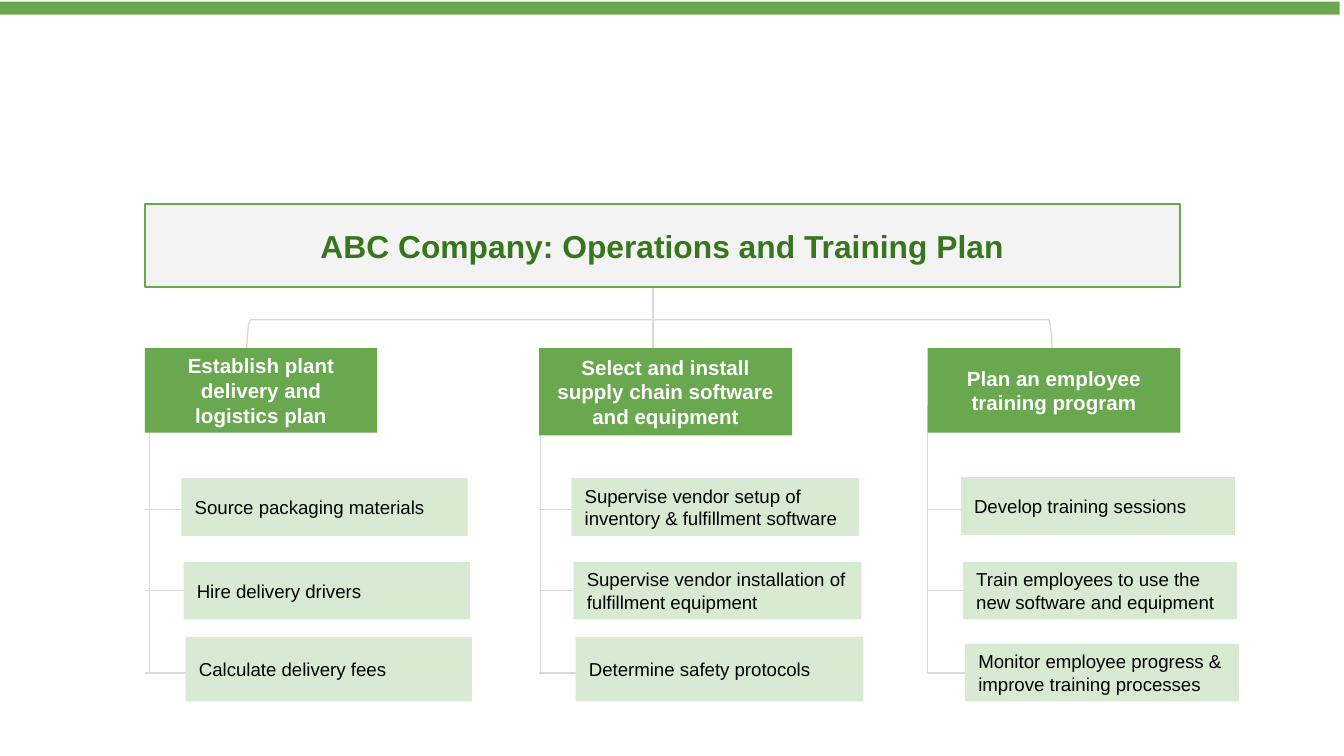
from pptx import Presentation
from pptx.dml.color import RGBColor
from pptx.enum.shapes import MSO_CONNECTOR as Link, MSO_SHAPE as Preset
from pptx.enum.text import MSO_ANCHOR as Anchor, PP_ALIGN as Align
from pptx.oxml.ns import qn
from pptx.util import Cm, Pt
from lxml.etree import SubElement

COLORS = {
    "green": "6AA84F", "dark_green": "38761D", "pale_green": "D9EAD3",
    "pale_gray": "F3F3F3", "line_gray": "D9D9D9",
    "white": "FFFFFF", "black": "000000",
}

deck = Presentation()
deck.slide_width, deck.slide_height = Cm(25.4), Cm(14.29)
slide = deck.slides.add_slide(deck.slide_layouts[6])


def add_box(text, left, top, width, height, fill=None, line=None, size=10,
            color="black", bold=False, align=Align.LEFT, preset=Preset.RECTANGLE):
    box = slide.shapes.add_shape(preset, Cm(left), Cm(top), Cm(width), Cm(height))
    box.shadow.inherit = False
    if fill:
        box.fill.solid()
        box.fill.fore_color.rgb = RGBColor.from_string(COLORS[fill])
    else:
        box.fill.background()
    if line:
        box.line.color.rgb = RGBColor.from_string(COLORS[line])
        box.line.width = Pt(0.75)
    else:
        box.line.fill.background()
    if text:
        frame = box.text_frame
        frame.word_wrap = True
        frame.vertical_anchor = Anchor.MIDDLE
        frame.margin_left = frame.margin_right = Cm(0.25)
        frame.margin_top = frame.margin_bottom = Cm(0.25)
        paragraph = frame.paragraphs[0]
        paragraph.alignment = align
        run = paragraph.add_run()
        run.text = text
        run.font.name = "Arial"
        run.font.size = Pt(size)
        run.font.bold = bold
        run.font.color.rgb = RGBColor.from_string(COLORS[color])
    return box


def add_link(x1, y1, x2, y2):
    link = slide.shapes.add_connector(Link.STRAIGHT, Cm(x1), Cm(y1), Cm(x2), Cm(y2))
    link.line.color.rgb = RGBColor.from_string(COLORS["line_gray"])
    link.line.width = Pt(0.75)
    SubElement(link._element.spPr, qn("a:effectLst"))


regular_rows = [(9.04, 1.09), (10.62, 1.09), (12.04, 1.22)]
training_rows = [(9.02, 1.09), (10.62, 1.09), (12.17, 1.09)]
branches = [
    dict(heading="Establish plant delivery and logistics plan",
         left=2.74, width=4.39, height=1.6, trunk=2.82,
         task_left=3.43, task_width=5.41, rows=regular_rows,
         tasks=["Source packaging materials", "Hire delivery drivers",
                "Calculate delivery fees"]),
    dict(heading="Select and install supply chain software and equipment",
         left=10.19, width=4.78, height=1.65, trunk=10.21,
         task_left=10.8, task_width=5.44, rows=regular_rows,
         tasks=["Supervise vendor setup of inventory & fulfillment software",
                "Supervise vendor installation of fulfillment equipment",
                "Determine safety protocols"]),
    dict(heading="Plan an employee training program",
         left=17.53, width=4.78, height=1.6, trunk=17.53,
         task_left=18.16, task_width=5.18, rows=training_rows,
         tasks=["Develop training sessions",
                "Train employees to use the new software and equipment",
                "Monitor employee progress & improve training processes"]),
]
twig_heights = [9.63, 11.16, 12.72]

add_link(12.34, 4.24, 12.34, 7.24)
for branch in branches:
    add_link(branch["trunk"], 7.65, branch["trunk"], twig_heights[-1])
    for y in twig_heights:
        add_link(branch["left"], y, branch["left"] + 1.52, y)

add_box("ABC Company: Operations and Training Plan", 2.74, 3.86, 19.56, 1.57,
        fill="pale_gray", line="green", size=17, color="dark_green",
        bold=True, align=Align.CENTER)
add_box("", -0.08, 0.03, 25.4, 0.25, fill="green")
bracket = add_box("", 11.79, -1.09, 0.97, 15.24, line="line_gray",
                  preset=Preset.RIGHT_BRACKET)
bracket.rotation = 270

for branch in branches:
    add_box(branch["heading"], branch["left"], 6.58, branch["width"], branch["height"],
            fill="green", size=11, color="white", bold=True, align=Align.CENTER)
    for index, (task, (top, height)) in enumerate(zip(branch["tasks"], branch["rows"])):
        add_box(task, branch["task_left"] + 0.04 * index, top,
                branch["task_width"], height, fill="pale_green")

deck.save("out.pptx")
